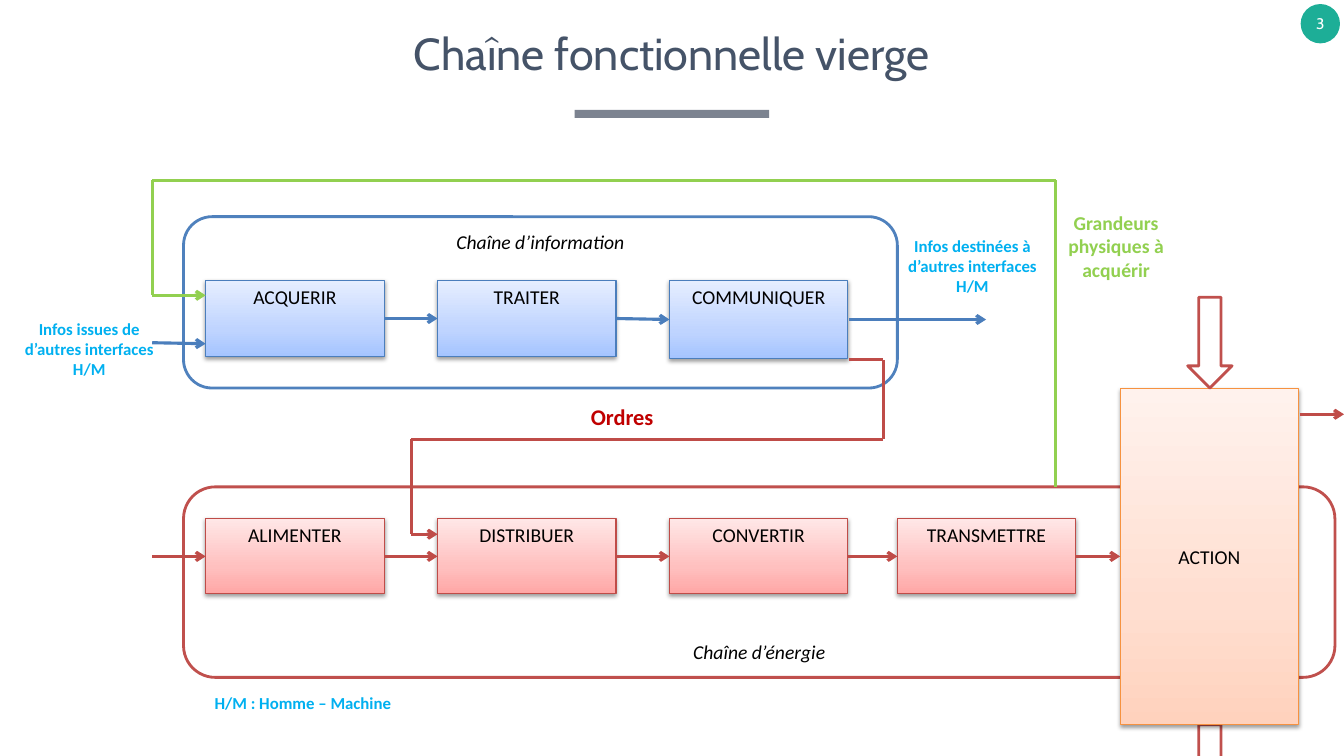
import copy
import itertools

import lxml.etree
import pptx
import pptx.dml.color
import pptx.enum.shapes
import pptx.enum.text
import pptx.oxml.ns
import pptx.util

RGBColor = pptx.dml.color.RGBColor
SHAPE = pptx.enum.shapes.MSO_SHAPE
ANCHOR = pptx.enum.text.MSO_ANCHOR
qn = pptx.oxml.ns.qn

PX = 9144  # EMU per px, 100 px to the inch

# Colours
WHITE = RGBColor(0xFF, 0xFF, 0xFF)
BLACK = RGBColor(0x00, 0x00, 0x00)
TITLE_BLUE = RGBColor(0x45, 0x53, 0x68)
RULE_GREY = RGBColor(0x7C, 0x83, 0x90)
BADGE_GREEN = RGBColor(0x1D, 0xAE, 0x97)
FRAME_BLUE = RGBColor(0x4F, 0x81, 0xBD)
FRAME_RED = RGBColor(0xC0, 0x50, 0x4D)
FLOW_BLUE = RGBColor(0x4B, 0x7E, 0xBC)
FLOW_RED = RGBColor(0xBF, 0x4C, 0x48)
FLOW_GREEN = RGBColor(0x92, 0xD0, 0x50)
ACTION_ORANGE = RGBColor(0xF6, 0x92, 0x40)
ORDER_RED = RGBColor(0xC0, 0x00, 0x00)
INFO_BLUE = RGBColor(0x00, 0xB0, 0xF0)
BLUE_STOPS = (RGBColor(0xA4, 0xC4, 0xFF), RGBColor(0xBF, 0xD4, 0xFF), RGBColor(0xE6, 0xEE, 0xFF))
RED_STOPS = (RGBColor(0xFF, 0xA6, 0xA5), RGBColor(0xFF, 0xC0, 0xBF), RGBColor(0xFF, 0xE7, 0xE7))
ORANGE_STOPS = (RGBColor(0xFF, 0xD2, 0xBD), RGBColor(0xFF, 0xDE, 0xD0), RGBColor(0xFF, 0xF2, 0xED))
STOP_POSITIONS = (0, 0.35, 1)

# Text formats
BODY = {"name": "Calibri", "size": pptx.util.Pt(14)}
ITALIC = {**BODY, "italic": True}
BOLD = {**BODY, "bold": True}
SMALL_BOLD = {**BOLD, "size": pptx.util.Pt(12)}
ORDER = {**BOLD, "size": pptx.util.Pt(16)}
TITLE = {"name": "Cabin", "size": pptx.util.Pt(32)}
BADGE = {"name": "Cabin", "size": pptx.util.Pt(11)}
NO_MARGINS = {f"margin_{side}": 0 for side in ("left", "top", "right", "bottom")}

# Positions of the function blocks
BLOCK_LEFTS = (204, 434, 664, 890)
BLOCK_WIDTH = 177
ENERGY_FLOW_Y = 552


def px(*lengths):
    return [length * PX for length in lengths]


def set_values(target, values):
    for name, value in values.items():
        setattr(target, name, value)


def write(shape, text, font, color, anchor=ANCHOR.MIDDLE, **frame_values):
    frame = shape.text_frame
    set_values(frame, {"word_wrap": True, "vertical_anchor": anchor, **frame_values})
    paragraph = frame.paragraphs[0]
    paragraph.alignment = pptx.enum.text.PP_ALIGN.CENTER
    run = paragraph.add_run()
    run.text = text
    set_values(run.font, font)
    run.font.color.rgb = color
    return paragraph


def add_label(slide, box, text, font, color):
    return write(slide.shapes.add_textbox(*px(*box)), text, font, color)


def add_plain(slide, kind, box, fill, line=None):
    shape = slide.shapes.add_shape(kind, *px(*box))
    shape.shadow.inherit = False
    shape.fill.solid()
    shape.fill.fore_color.rgb = fill
    if line is None:
        shape.line.fill.background()
    else:
        shape.line.color.rgb = line
        shape.line.width = pptx.util.Pt(2)
    return shape


def add_block(slide, box, text, stops, line, anchor=ANCHOR.TOP):
    shape = slide.shapes.add_shape(SHAPE.RECTANGLE, *px(*box))
    properties = shape._element.spPr
    # Three-stop gradient, darkest at the bottom
    shape.fill.gradient()
    shape.fill.gradient_angle = 90
    stop_list = properties.find(".//" + qn("a:gsLst"))
    stop_list.append(copy.deepcopy(stop_list[-1]))
    for stop, position, color in zip(shape.fill.gradient_stops, STOP_POSITIONS, stops):
        stop.position = position
        stop.color.rgb = color
    shape.line.color.rgb = line
    shape.line.width = pptx.util.Pt(0.75)
    # Soft shadow below
    shape.shadow.inherit = False
    shadow = lxml.etree.SubElement(properties.find(qn("a:effectLst")), qn("a:outerShdw"),
                                   blurRad="40000", dist="20000", dir="5400000", rotWithShape="0")
    black = lxml.etree.SubElement(shadow, qn("a:srgbClr"), val="000000")
    lxml.etree.SubElement(black, qn("a:alpha"), val="38000")
    write(shape, text, BODY, BLACK, anchor)


def add_route(slide, color, *points, arrow=True):
    """Straight segments through the points, with an arrowhead at the end."""
    for start, end in itertools.pairwise(points):
        connector = slide.shapes.add_connector(
            pptx.enum.shapes.MSO_CONNECTOR.STRAIGHT, *px(*start, *end))
        connector.line.color.rgb = color
        connector.line.width = pptx.util.Pt(2.25)
        properties = connector._element.spPr
        if arrow and end == points[-1]:
            lxml.etree.SubElement(properties.find(qn("a:ln")), qn("a:tailEnd"), type="arrow")
        lxml.etree.SubElement(properties, qn("a:effectLst"))


def add_header(slide):
    badge = add_plain(slide, SHAPE.OVAL, (1290, 4, 39, 39), BADGE_GREEN)
    write(badge, "3", BADGE, WHITE, **{**NO_MARGINS, "word_wrap": False})
    add_plain(slide, SHAPE.RECTANGLE, (570, 109, 193, 8), RULE_GREY)
    title = add_label(slide, (43, 0, 1247, 112), "Chaîne fonctionnelle vierge", TITLE, TITLE_BLUE)
    title.line_spacing = 0.9


def add_chains(slide):
    # Frames of the two chains
    add_plain(slide, SHAPE.DOWN_ARROW, (1178, 719, 44, 90), WHITE, FRAME_RED)
    energy = add_plain(slide, SHAPE.ROUNDED_RECTANGLE, (182, 483, 1142, 189), WHITE, FRAME_RED)
    write(energy, "Chaîne d’énergie", ITALIC, BLACK, ANCHOR.BOTTOM)
    information = add_plain(slide, SHAPE.ROUNDED_RECTANGLE, (182, 215, 708, 170), WHITE, FRAME_BLUE)
    write(information, "Chaîne d’information", ITALIC, BLACK, ANCHOR.TOP)

    # Function blocks
    information_blocks = (("ACQUERIR", 76), ("TRAITER", 76), ("COMMUNIQUER", 78))
    for left, (name, height) in zip(BLOCK_LEFTS, information_blocks):
        add_block(slide, (left, 278, BLOCK_WIDTH, height), name, BLUE_STOPS, FLOW_BLUE)
    for left, name in zip(BLOCK_LEFTS, ("ALIMENTER", "DISTRIBUER", "CONVERTIR", "TRANSMETTRE")):
        add_block(slide, (left, 514, BLOCK_WIDTH, 75), name, RED_STOPS, FLOW_RED)
    add_block(slide, (1111, 385, BLOCK_WIDTH, 334), "ACTION", ORANGE_STOPS, ACTION_ORANGE,
              ANCHOR.MIDDLE)


def add_flows(slide):
    # Information
    for start, end in (((151, 340), (204, 341)), ((381, 316), (434, 316)),
                       ((611, 316), (664, 317)), ((842, 317), (978, 317))):
        add_route(slide, FLOW_BLUE, start, end)
    # Orders
    add_route(slide, FLOW_RED, (842, 357), (876, 357), (876, 436), (408, 436), (408, 530), (434, 530))
    # Energy
    starts = [151] + [left + BLOCK_WIDTH for left in BLOCK_LEFTS]
    for start, end in zip(starts, BLOCK_LEFTS + (1111,)):
        add_route(slide, FLOW_RED, (start, ENERGY_FLOW_Y), (end, ENERGY_FLOW_Y))
    add_route(slide, FLOW_RED, (1289, 411), (1333, 411))
    # Quantities fed back
    add_route(slide, FLOW_GREEN, (1047, 483), (1047, 179), (151, 179), (151, 293), (204, 293))
    add_plain(slide, SHAPE.DOWN_ARROW, (1178, 295, 44, 90), WHITE, FRAME_RED)


def add_labels(slide):
    for box, text, font, color in (
        ((536, 391, 162, 45), "Ordres", ORDER, ORDER_RED),
        ((1026, 192, 162, 104), "Grandeurs physiques à acquérir", BOLD, FLOW_GREEN),
        ((885, 212, 159, 104), "Infos destinées à d’autres interfaces H/M", SMALL_BOLD, INFO_BLUE),
        ((9, 294, 159, 104), "Infos issues de d’autres interfaces H/M", SMALL_BOLD, INFO_BLUE),
        ((139, 671, 323, 52), "H/M : Homme – Machine", SMALL_BOLD, INFO_BLUE),
    ):
        add_label(slide, box, text, font, color)


def main():
    presentation = pptx.Presentation()
    presentation.slide_width, presentation.slide_height = px(1333, 750)
    slide = presentation.slides.add_slide(presentation.slide_layouts[6])
    add_header(slide)
    add_chains(slide)
    add_flows(slide)
    add_labels(slide)
    presentation.save("out.pptx")


if __name__ == "__main__":
    main()
